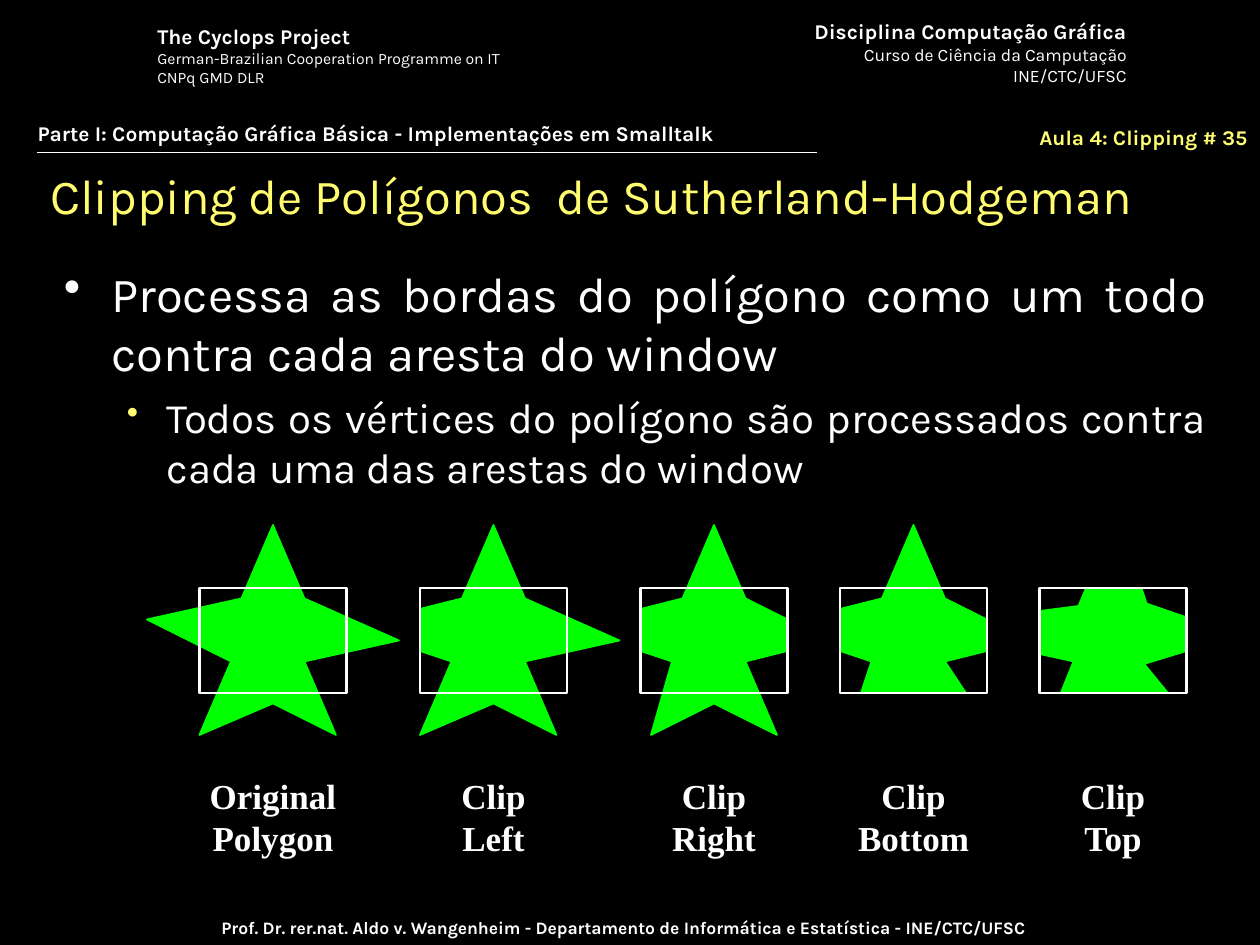
"""Build a slide on Sutherland-Hodgeman polygon clipping."""

from dataclasses import dataclass
from typing import Optional

from lxml.etree import SubElement
from pptx import Presentation
from pptx.dml.color import RGBColor
from pptx.enum.shapes import MSO_CONNECTOR, MSO_SHAPE
from pptx.enum.text import MSO_ANCHOR, PP_ALIGN
from pptx.oxml.ns import qn
from pptx.util import Pt

BLACK = RGBColor(0x00, 0x00, 0x00)
WHITE = RGBColor(0xFF, 0xFF, 0xFF)
YELLOW = RGBColor(0xFF, 0xFC, 0x6F)
GREEN = RGBColor(0x00, 0xFF, 0x00)

WINDOW_TOP, WINDOW_WIDTH, WINDOW_HEIGHT = 336, 84, 60
STAR_TOP = 300
LABEL_TOP, LABEL_WIDTH, LABEL_HEIGHT = 439.2, 90, 55.4


@dataclass(frozen=True)
class Bullet:
    color: RGBColor
    margin: float
    hanging: float
    percent: int = 100


@dataclass(frozen=True)
class Line:
    text: str
    size: float
    bold: bool = False
    color: RGBColor = WHITE
    font: str = "Karla"
    level: int = 0
    space_before: float = 0
    bullet: Optional[Bullet] = None


@dataclass(frozen=True)
class TextBlock:
    left: float
    top: float
    width: float
    height: float
    lines: tuple[Line, ...]
    alignment: PP_ALIGN = PP_ALIGN.LEFT
    anchor: MSO_ANCHOR = MSO_ANCHOR.TOP
    wrap: bool = True


@dataclass(frozen=True)
class ClipStage:
    window_left: float
    label: tuple[str, str]
    outline: tuple[tuple[float, float], ...]


TEXT_BLOCKS = (
    TextBlock(453.6, 7.2, 197.3, 46.1, (
        Line("Disciplina Computação Gráfica", 12, True),
        Line("Curso de Ciência da Camputação", 10),
        Line("INE/CTC/UFSC", 10),
    ), PP_ALIGN.RIGHT, wrap=False),
    TextBlock(82.8, 10.1, 219.6, 43.2, (
        Line("The Cyclops Project", 12, True),
        Line("German-Brazilian Cooperation Programme on IT", 9),
        Line("CNPq GMD DLR", 9),
    ), wrap=False),
    TextBlock(38.2, 520.6, 635.8, 19.4, (
        Line("Prof. Dr. rer.nat. Aldo v. Wangenheim - Departamento de "
             "Informática e Estatística - INE/CTC/UFSC", 10, True),
    ), PP_ALIGN.CENTER),
    TextBlock(546.5, 67.7, 173.5, 23.8, (
        Line("Aula 4: Clipping # 35", 12, True, YELLOW),
    ), PP_ALIGN.RIGHT),
    TextBlock(14.4, 65.5, 684, 21.6, (
        Line("Parte I: Computação Gráfica Básica - Implementações em Smalltalk", 12, True),
    )),
    TextBlock(21.6, 95.8, 644.4, 31.7, (
        Line("Clipping de Polígonos  de Sutherland-Hodgeman", 28, color=YELLOW),
    ), anchor=MSO_ANCHOR.MIDDLE),
    TextBlock(29.5, 146.9, 666.7, 150, (
        Line("Processa as bordas do polígono como um todo contra cada aresta do window",
             28, bullet=Bullet(WHITE, 27, 27)),
        Line("Todos os vértices do polígono são processados contra cada uma das arestas do window",
             24, level=1, space_before=6, bullet=Bullet(YELLOW, 58.5, 22.5, 80)),
    ), PP_ALIGN.JUSTIFY),
)

PEAK = ((42, 0), (24, 42))
LEFT_CUT = ((0, 48), (0, 72), (18, 78))
RIGHT_CUT = ((60, 78), (84, 72), (84, 54), (60, 42))
RIGHT_ARM = ((60, 78), (114, 66), (60, 42))
FEET = ((42, 102), (78, 120))

CLIP_STAGES = (
    ClipStage(114, ("Original", "Polygon"),
              (*PEAK, (-30, 54), (18, 78), (0, 120), *FEET, *RIGHT_ARM)),
    ClipStage(240, ("Clip", "Left"), (*PEAK, *LEFT_CUT, (0, 120), *FEET, *RIGHT_ARM)),
    ClipStage(366, ("Clip", "Right"), (*PEAK, *LEFT_CUT, (6, 120), *FEET, *RIGHT_CUT)),
    ClipStage(480, ("Clip", "Bottom"), (*PEAK, *LEFT_CUT, (12, 96), (72, 96), *RIGHT_CUT)),
    ClipStage(594, ("Clip", "Top"),
              ((26.6, 36), (22.3, 46.3), (0, 49.2), (0, 73.7), (19.4, 78), (12.2, 96),
               (73.4, 96), (59.8, 79.4), (84, 72), (84, 52.8), (61.2, 44.9), (58.3, 36))),
)


def apply_format(target, values: dict) -> None:
    """Set each named attribute on the target."""
    for name, value in values.items():
        setattr(target, name, value)


def add_bullet(paragraph, bullet: Bullet) -> None:
    """Give a paragraph a coloured round bullet and a hanging indent."""
    properties = paragraph._p.get_or_add_pPr()
    properties.set("marL", str(Pt(bullet.margin)))
    properties.set("indent", str(-Pt(bullet.hanging)))
    color = SubElement(properties, qn("a:buClr"))
    SubElement(color, qn("a:srgbClr"), val=str(bullet.color))
    SubElement(properties, qn("a:buSzPct"), val=str(bullet.percent * 1000))
    SubElement(properties, qn("a:buChar"), char="•")


def add_text(slide, block: TextBlock) -> None:
    """Add a text box holding the lines of a block."""
    shape = slide.shapes.add_textbox(
        Pt(block.left), Pt(block.top), Pt(block.width), Pt(block.height))
    frame = shape.text_frame
    apply_format(frame, {"word_wrap": block.wrap, "vertical_anchor": block.anchor})
    for index, line in enumerate(block.lines):
        paragraph = frame.add_paragraph() if index else frame.paragraphs[0]
        if line.bullet:
            add_bullet(paragraph, line.bullet)
        apply_format(paragraph, {"alignment": block.alignment, "level": line.level})
        if line.space_before:
            paragraph.space_before = Pt(line.space_before)
        run = paragraph.add_run()
        run.text = line.text
        apply_format(run.font, {"name": line.font, "size": Pt(line.size), "bold": line.bold})
        run.font.color.rgb = line.color


def add_rule(slide, left: float, right: float, top: float) -> None:
    """Draw the horizontal white rule below the heading."""
    connector = slide.shapes.add_connector(
        MSO_CONNECTOR.STRAIGHT, Pt(left), Pt(top), Pt(right), Pt(top))
    apply_format(connector.line, {"width": Pt(1)})
    connector.line.color.rgb = WHITE
    SubElement(connector._element.spPr, qn("a:effectLst"))


def add_stage(slide, stage: ClipStage) -> None:
    """Draw one clipping stage: polygon, window and label."""
    points = [(Pt(stage.window_left + x), Pt(STAR_TOP + y)) for x, y in stage.outline]
    builder = slide.shapes.build_freeform(*points[0])
    builder.add_line_segments(points[1:], close=True)
    polygon = builder.convert_to_shape()
    polygon.fill.solid()
    polygon.fill.fore_color.rgb = GREEN
    window = slide.shapes.add_shape(
        MSO_SHAPE.RECTANGLE, Pt(stage.window_left), Pt(WINDOW_TOP),
        Pt(WINDOW_WIDTH), Pt(WINDOW_HEIGHT))
    window.fill.background()
    for shape, color, width in ((polygon, GREEN, 1), (window, WHITE, 1.5)):
        shape.shadow.inherit = False
        shape.line.color.rgb = color
        shape.line.width = Pt(width)
    label_left = stage.window_left + (WINDOW_WIDTH - LABEL_WIDTH) / 2
    lines = tuple(Line(text, 20, True, font="Times New Roman") for text in stage.label)
    add_text(slide, TextBlock(label_left, LABEL_TOP, LABEL_WIDTH, LABEL_HEIGHT, lines,
                              PP_ALIGN.CENTER, wrap=False))


def main() -> None:
    """Create and save the presentation."""
    presentation = Presentation()
    apply_format(presentation, {"slide_width": Pt(720), "slide_height": Pt(540)})
    slide = presentation.slides.add_slide(presentation.slide_layouts[6])
    slide.background.fill.solid()
    slide.background.fill.fore_color.rgb = BLACK
    add_rule(slide, 20.9, 466.6, 87.1)
    for block in TEXT_BLOCKS:
        add_text(slide, block)
    for stage in CLIP_STAGES:
        add_stage(slide, stage)
    presentation.save("out.pptx")


if __name__ == "__main__":
    main()
